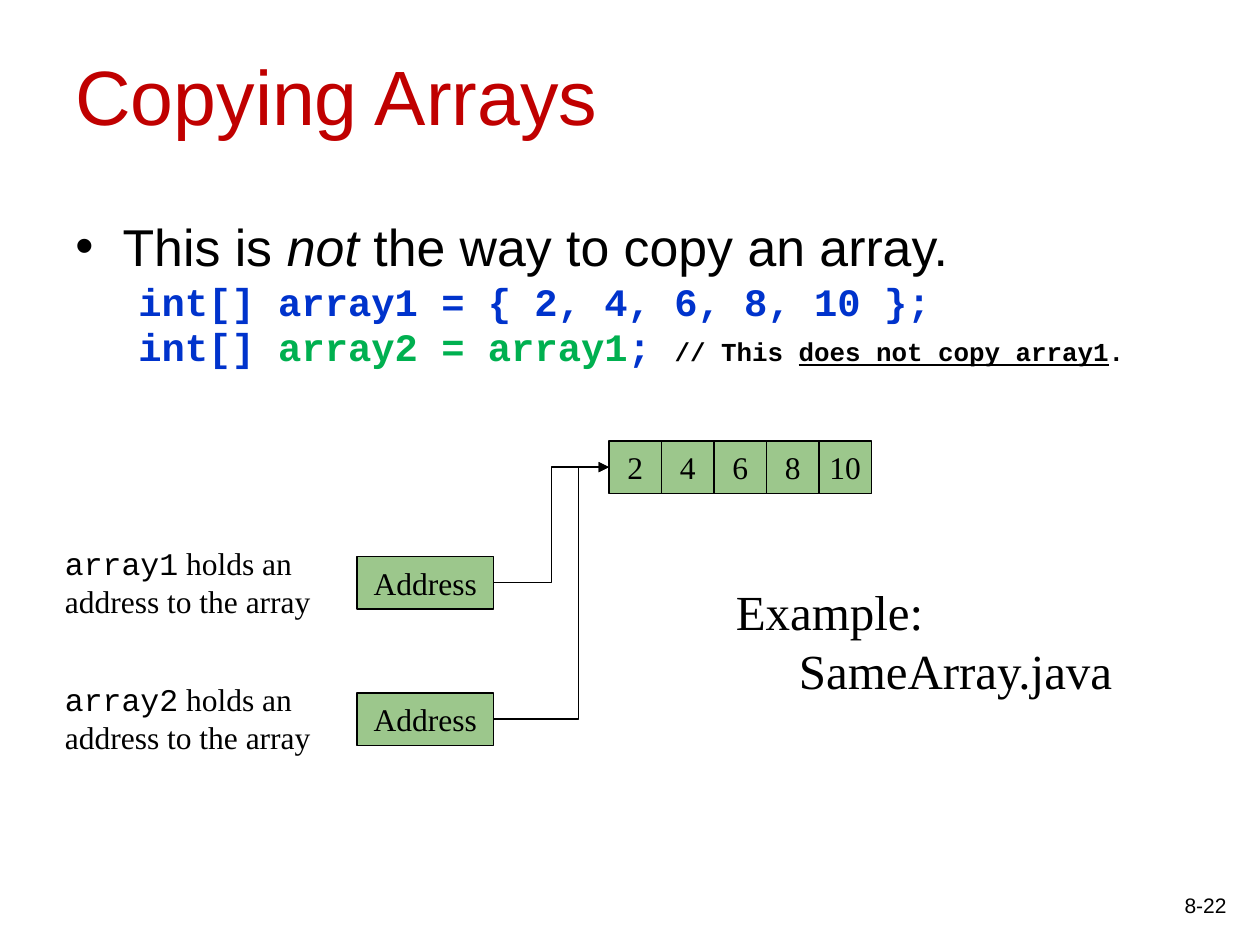
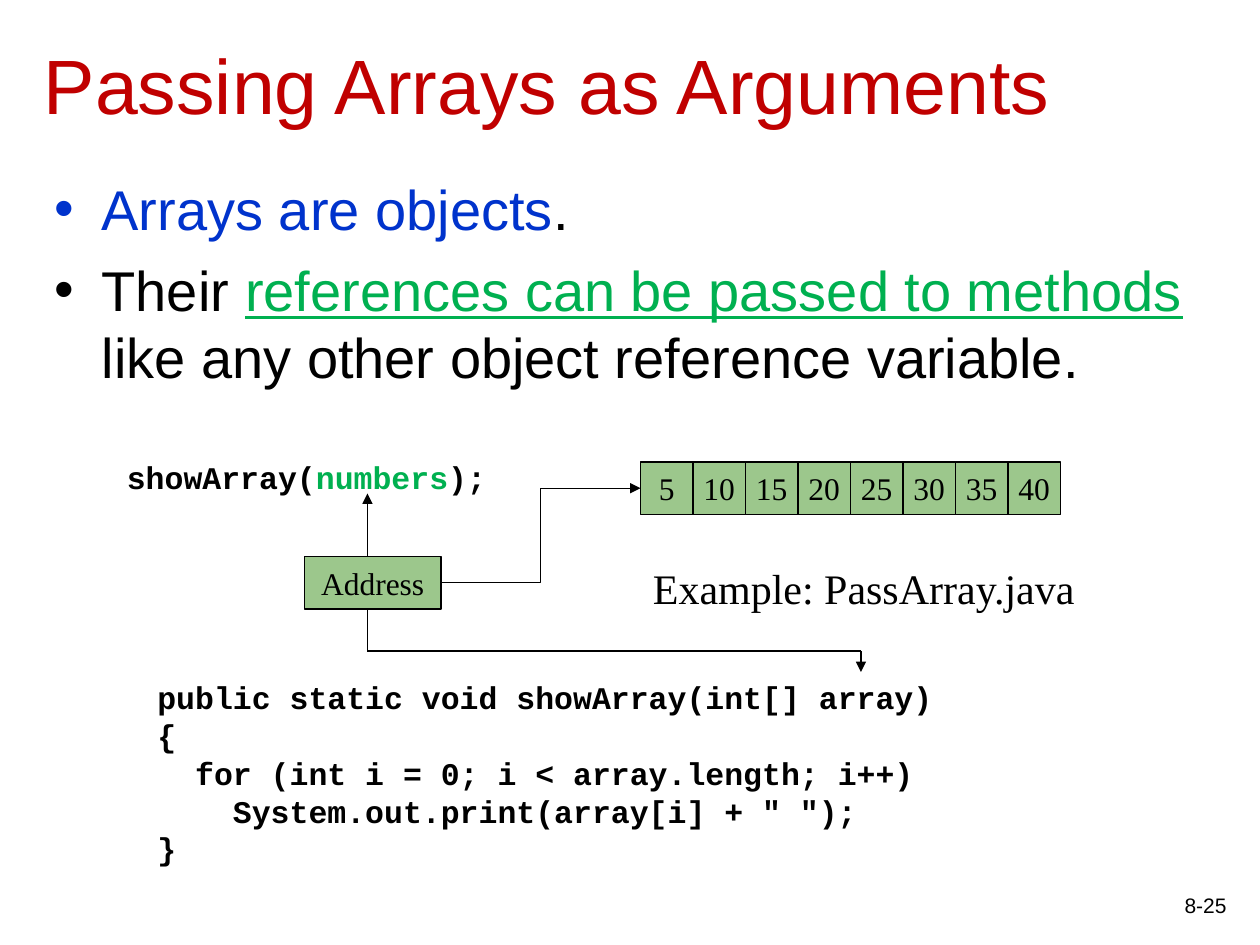
from dataclasses import dataclass

from lxml import etree
from pptx import Presentation
from pptx.dml.color import RGBColor
from pptx.enum.shapes import MSO_CONNECTOR, MSO_SHAPE
from pptx.enum.text import MSO_ANCHOR, MSO_AUTO_SIZE, PP_ALIGN
from pptx.oxml.ns import qn
from pptx.util import Emu, Pt

RECT = MSO_SHAPE.RECTANGLE
LINE, ELBOW = MSO_CONNECTOR.STRAIGHT, MSO_CONNECTOR.ELBOW
TOP, MID, LOW = MSO_ANCHOR.TOP, MSO_ANCHOR.MIDDLE, MSO_ANCHOR.BOTTOM
LEFT, MIDST, RIGHT = PP_ALIGN.LEFT, PP_ALIGN.CENTER, PP_ALIGN.RIGHT
GROW = MSO_AUTO_SIZE.SHAPE_TO_FIT_TEXT
SCALE = 7620


@dataclass(frozen=True)
class Theme:
    """Colours, fonts, type sizes and cell sizes of the deck."""
    ink: str = "000000"
    red: str = "C00000"
    blue: str = "0033CC"
    green: str = "00B050"
    leaf: str = "9CC78C"
    sans: str = "Arial"
    mono: str = "Courier New"
    serif: str = "Times New Roman"
    title: float = 44
    lead: float = 32
    tight: float = 29.6
    code: float = 22.2
    note: float = 14.8
    label: float = 18
    foot: float = 12
    rule: float = 0.75
    cell: int = 50
    wide: int = 130


T = Theme()


def px(n):
    """Turn px into EMU."""
    return Emu(n * SCALE)


def style(font, face=None, size=None, color=None, bold=None, italic=None, under=None):
    """Set the given traits of a font."""
    if face:
        font.name = face
    if size:
        font.size = Pt(size)
    if color:
        font.color.rgb = RGBColor.from_string(color)
    if bold is not None:
        font.bold = bold
    if italic is not None:
        font.italic = italic
    if under is not None:
        font.underline = under


def dot(para, color):
    """Give a paragraph a round bullet."""
    mark = para._p.get_or_add_pPr().find(qn("a:defRPr"))
    tint = etree.Element(qn("a:buClr"))
    etree.SubElement(tint, qn("a:srgbClr"), val=color)
    face = etree.Element(qn("a:buFont"), typeface=T.sans)
    char = etree.Element(qn("a:buChar"), char="•")
    for part in (tint, face, char):
        mark.addprevious(part)


def write(frame, paras, face, size, color=T.ink, bold=False, align=LEFT):
    """Fill a frame with paragraphs, each a dict of runs and layout."""
    for i, item in enumerate(paras):
        para = frame.paragraphs[0] if i == 0 else frame.add_paragraph()
        para.alignment = align
        base = dict(face=face, size=size, color=color, bold=bold)
        style(para.font, **{**base, **item.get("font", {})})
        if "lead" in item:
            para.line_spacing = item["lead"]
        if "gap" in item:
            para.space_before = Pt(item["gap"])
        left, first = item.get("indent", (0, 0))
        props = para._p.get_or_add_pPr()
        props.set("marL", str(px(left)))
        props.set("indent", str(px(first)))
        if "dot" in item:
            dot(para, item["dot"])
        for text, traits in item["runs"]:
            for n, row in enumerate(text.split("\n")):
                if n:
                    para.add_line_break()
                run = para.add_run()
                run.text = row
                style(run.font, **traits)


def plain(*rows):
    """Make one plain paragraph of each row."""
    return [dict(runs=[(row, {})]) for row in rows]


def words(slide, box, paras, face, size, anchor=TOP, wrap=True, **look):
    """Place a text box."""
    shape = slide.shapes.add_textbox(*map(px, box))
    frame = shape.text_frame
    frame.word_wrap = wrap
    frame.vertical_anchor = anchor
    if not wrap:
        frame.auto_size = GROW
    write(frame, paras, face, size, **look)
    return frame


def frame(slide, title, box, number):
    """Place the title and the page number."""
    words(slide, box, plain(title), T.sans, T.title, LOW, color=T.red)
    words(slide, (930, 820, 250, 60), plain(number), T.sans, T.foot, LOW, align=RIGHT)


def body(slide, box, paras, size):
    """Place the main bullets."""
    words(slide, box, paras, T.sans, size).margin_right = 0


def cell(slide, x, y, text, width=T.cell):
    """Draw one green memory cell."""
    shape = slide.shapes.add_shape(RECT, *map(px, (x, y, width, T.cell)))
    shape.shadow.inherit = False
    shape.fill.solid()
    shape.fill.fore_color.rgb = RGBColor.from_string(T.leaf)
    shape.line.color.rgb = RGBColor.from_string(T.ink)
    shape.line.width = Pt(T.rule)
    shape.text_frame.word_wrap = False
    shape.text_frame.vertical_anchor = MID
    write(shape.text_frame, plain(text), T.serif, T.label, align=MIDST)


def row(slide, x, y, values):
    """Draw an array as touching cells."""
    for i, value in enumerate(values):
        cell(slide, x + i * T.cell, y, str(value))


def link(slide, start, end, kind=LINE, arrow=True, bend=None):
    """Draw a line, with an arrowhead at its end if asked."""
    wire = slide.shapes.add_connector(kind, *map(px, start + end))
    wire.line.color.rgb = RGBColor.from_string(T.ink)
    wire.line.width = Pt(T.rule)
    props = wire._element.spPr
    if arrow:
        etree.SubElement(props.find(qn("a:ln")), qn("a:tailEnd"), type="triangle")
    if bend:
        stops = props.find(qn("a:prstGeom")).find(qn("a:avLst"))
        etree.SubElement(stops, qn("a:gd"), name="adj1", fmla=f"val {bend}")
    etree.SubElement(props, qn("a:effectLst"))


def holder(slide, box, name, goal, bend):
    """Draw a named variable, its address cell and the link to its array."""
    x, y, width, height = box
    text = [dict(runs=[(name, dict(face=T.mono)), (" holds an", {})])]
    text += plain("address to the array")
    words(slide, (x, y, 258, height), text, T.serif, T.label, wrap=False)
    left = x + width - T.wide
    cell(slide, left, y + 18, "Address", T.wide)
    link(slide, (x + width, y + 18 + T.cell // 2), goal, ELBOW, bend=bend)


def passing(slide, box):
    """Draw the call, the address it passes and the array."""
    x, y, width, height = box
    call = [dict(runs=[("showArray(", {}), ("numbers", dict(color=T.green)), (");", {})])]
    words(slide, (x, y, 366, 48), call, T.mono, T.label, wrap=False, bold=True)
    values = range(5, 41, 5)
    left = x + width - len(values) * T.cell
    row(slide, left, y + 10, values)
    top, mid, low = y + 100, x + 241, y + 190
    cell(slide, x + 181, top, "Address", T.wide)
    link(slide, (x + 181 + T.wide, top + 25), (left, y + 35), ELBOW)
    link(slide, (mid, top), (mid, y + 40))
    link(slide, (mid, top + T.cell), (mid, low), arrow=False)
    link(slide, (mid, low), (mid + 470, low), arrow=False)
    link(slide, (mid + 470, low), (mid + 470, y + height))


def copying(deck):
    """Build the slide on copying arrays."""
    slide = deck.slides.add_slide(deck.slide_layouts[6])
    frame(slide, "Copying Arrays", (60, 36, 1080, 104), "8-22")
    code = dict(face=T.mono, size=T.code, color=T.blue, bold=True)
    note = dict(size=T.note, color=T.ink)
    step = dict(font=code, lead=0.8, indent=(97, -37))
    body(slide, (60, 210, 1080, 182), [
        dict(lead=0.8, gap=8, indent=(45, -45), dot=T.ink, runs=[
            ("This is ", {}), ("not", dict(italic=True)),
            (" the way to copy an array.", {})]),
        dict(step, gap=6, runs=[("int[] array1 = { 2, 4, 6, 8, 10 };", {})]),
        dict(step, gap=4, runs=[
            ("int[] ", {}), ("array2 = array1", dict(color=T.green)), ("; ", {}),
            ("// This ", note), ("does not copy array1", dict(note, under=True)),
            (".", note)]),
    ], T.tight)
    row(slide, 580, 420, range(2, 11, 2))
    for i, bend in enumerate((50000, 73800)):
        box = (50, 512 + i * 130, 420, 84)
        holder(slide, box, f"array{i + 1}", (580, 445), bend)
    text = [dict(indent=(60, -60), runs=[("Example:\nSameArray.java", {})])]
    words(slide, (689, 548, 385, 125), text, T.serif, 28, wrap=False)


def arguments(deck):
    """Build the slide on arrays as arguments."""
    slide = deck.slides.add_slide(deck.slide_layouts[6])
    frame(slide, "Passing Arrays as Arguments", (30, 40, 1130, 90), "8-25")
    item = dict(gap=8, indent=(45, -45))
    body(slide, (40, 160, 1088, 252), [
        dict(item, dot=T.blue, runs=[
            ("Arrays are objects", dict(color=T.blue)), (".", {})]),
        dict(item, dot=T.ink, runs=[
            ("Their ", {}),
            ("references can be passed to methods ", dict(color=T.green, under=True)),
            ("like any other object reference variable.", {})]),
    ], T.lead)
    passing(slide, (109, 430, 901, 210))
    rows = [
        (0, "public static void showArray(int[] array)"),
        (0, "{"),
        (1, "for (int i = 0; i < array.length; i++)"),
        (2, 'System.out.print(array[i] + " ");'),
        (0, "}"),
    ]
    code = [dict(indent=(36 * depth, 0), runs=[(text, {})]) for depth, text in rows]
    words(slide, (138, 640, 762, 192), code, T.mono, T.label, wrap=False, bold=True)
    words(slide, (610, 530, 428, 60), plain("Example: PassArray.java"),
          T.serif, 24, wrap=False)


def main():
    """Build and save the deck."""
    deck = Presentation()
    deck.slide_width, deck.slide_height = px(1200), px(900)
    copying(deck)
    arguments(deck)
    deck.save("out.pptx")


if __name__ == "__main__":
    main()
